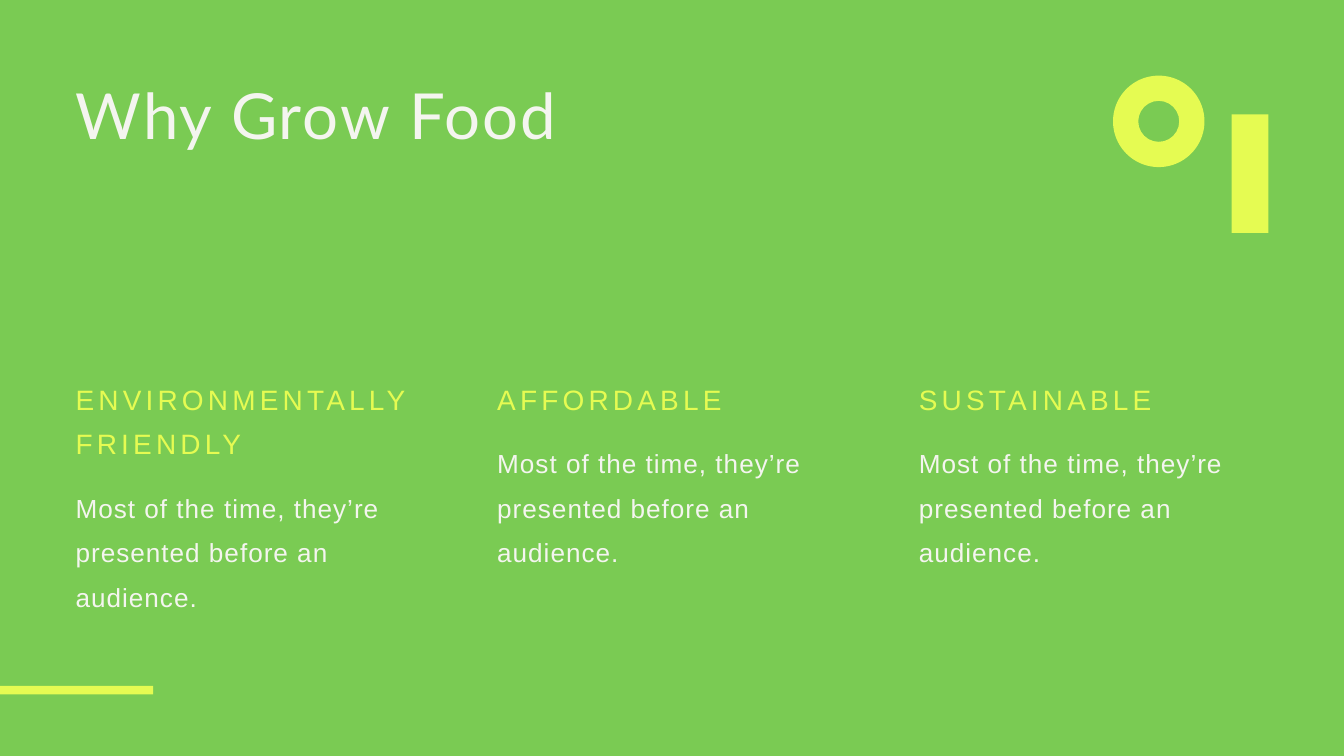
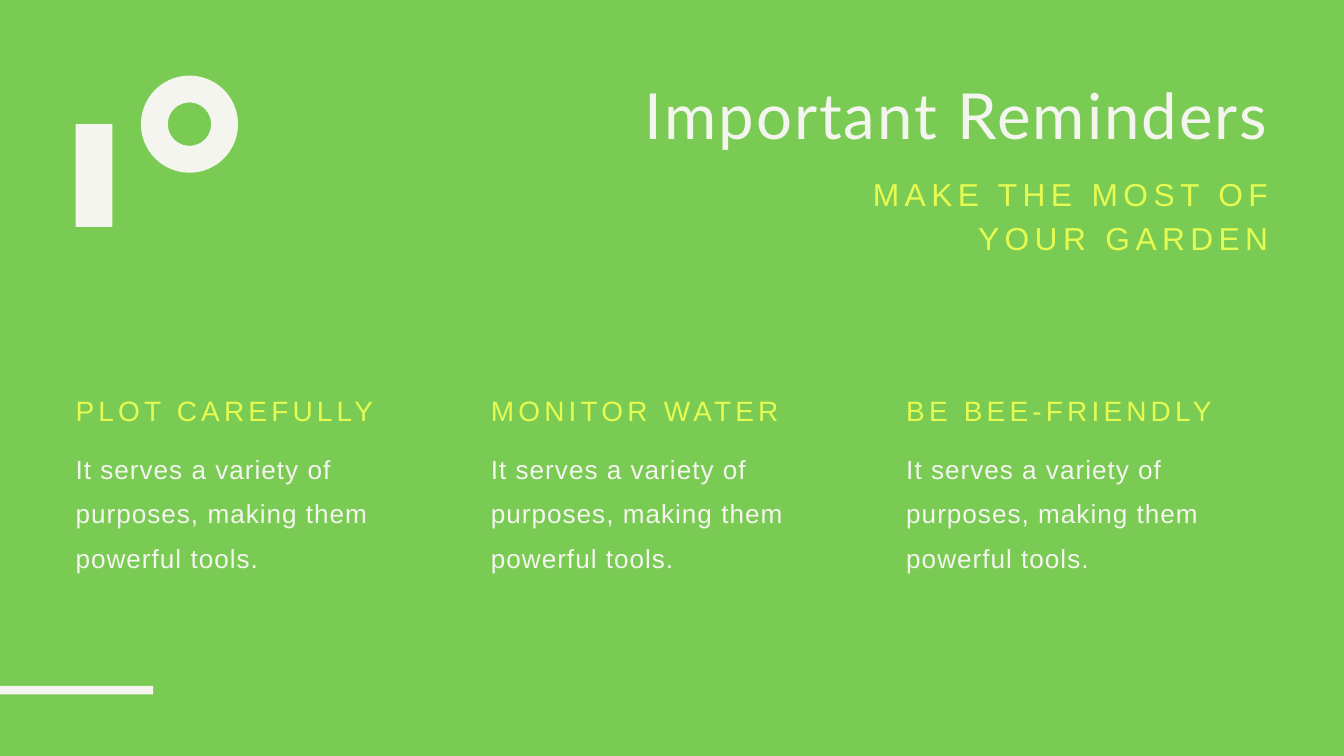
import pptx
import pptx.util
import pptx.dml.color
import pptx.enum.shapes
import pptx.enum.text

Pt = pptx.util.Pt
SHAPE = pptx.enum.shapes.MSO_SHAPE
ALIGN = pptx.enum.text.PP_ALIGN

GREEN, LIME, CREAM = "7ACB53", "E5FB52", "F4F5EF"
WIDTH, HEIGHT, MARGIN = 1440, 810, 81
CONTENT_W = WIDTH - 2 * MARGIN
BAR_W = 39.5

# style: font, size, colour, letter spacing, line spacing
TITLE = ("Lato", 68, CREAM, 2.2, 85)
SUBTITLE = ("Arial", 34, LIME, 5.8, 47.6)
HEADING = ("Arial", 30, LIME, 4.5, 48)
BODY = ("Arial", 28, CREAM, 1.1, 47.6)


def set_fill(fill, color):
    fill.solid()
    fill.fore_color.rgb = pptx.dml.color.RGBColor.from_string(color)


def set_text(sp, box, text, style, align=ALIGN.LEFT):
    font, size, color, spacing, leading = style
    sp.left, sp.top, sp.width, sp.height = map(Pt, box)
    tf = sp.text_frame
    tf.text = text
    tf.word_wrap = True
    tf.auto_size = pptx.enum.text.MSO_AUTO_SIZE.NONE
    tf.vertical_anchor = pptx.enum.text.MSO_ANCHOR.TOP
    tf.margin_left = tf.margin_top = tf.margin_right = tf.margin_bottom = 0
    for p in tf.paragraphs:
        p.alignment = align
        p.line_spacing = Pt(leading)
        for r in p.runs:
            r.font.name = font
            r.font.size = Pt(size)
            r.font.color.rgb = pptx.dml.color.RGBColor.from_string(color)
            r.font._element.set("spc", str(round(spacing * 100)))


def add_text(s, box, text, style, align=ALIGN.LEFT):
    set_text(s.shapes.add_textbox(0, 0, 0, 0), box, text, style, align)


def add_block(s, kind, box, color):
    sp = s.shapes.add_shape(kind, *map(Pt, box))
    sp.shadow.inherit = False
    set_fill(sp.fill, color)
    sp.line.fill.background()
    return sp


def add_ring(s, left, top, size, color):
    sp = add_block(s, SHAPE.DONUT, (left, top, size, size), color)
    sp.adjustments[0] = 0.276


def add_columns(s, top, width, gap, columns):
    step = (CONTENT_W - width) / (len(columns) - 1)
    leading = HEADING[-1]
    for i, (heading, lines, body) in enumerate(columns):
        left = MARGIN + i * step
        add_text(s, (left, top, width, lines * leading - 6), heading, HEADING)
        add_text(s, (left, top + lines * leading + gap, width, 135), body, BODY)


def add_base(prs, title, left, align, accent):
    s = prs.slides.add_slide(prs.slide_layouts.get_by_name("Title Only"))
    set_text(s.shapes.title, (left, 78, 824, 84), title, TITLE, align)
    add_block(s, SHAPE.RECTANGLE, (0, 735, 164, 9), accent)
    return s


def add_why_slide(prs):
    s = add_base(prs, "Why Grow Food", MARGIN, ALIGN.LEFT, LIME)
    body = "Most of the time, they’re presented before an audience."
    add_columns(s, 397.5, 374.5, 20, [
        ("ENVIRONMENTALLY FRIENDLY", 2, body),
        ("AFFORDABLE", 1, body),
        ("SUSTAINABLE", 1, body),
    ])
    right = WIDTH - MARGIN
    add_block(s, SHAPE.RECTANGLE, (right - BAR_W, 122.5, BAR_W, 127), LIME)
    add_ring(s, right - 166.5, MARGIN, 98, LIME)


def add_reminders_slide(prs):
    left = WIDTH - MARGIN - 824
    s = add_base(prs, "Important Reminders", left, ALIGN.RIGHT, CREAM)
    add_text(s, (left, 180.5, 824, 91), "MAKE THE MOST OF\nYOUR GARDEN",
             SUBTITLE, ALIGN.RIGHT)
    body = "It serves a variety of purposes, making them powerful tools."
    headings = ["PLOT CAREFULLY", "MONITOR WATER", "BE BEE-FRIENDLY"]
    add_columns(s, 409.5, 388, 14, [(h, 1, body) for h in headings])
    add_block(s, SHAPE.RECTANGLE, (MARGIN, 133, BAR_W, 110), CREAM)
    add_ring(s, MARGIN + 70, MARGIN, 104, CREAM)


def main():
    prs = pptx.Presentation()
    prs.slide_width, prs.slide_height = Pt(WIDTH), Pt(HEIGHT)
    set_fill(prs.slide_master.background.fill, GREEN)
    add_why_slide(prs)
    add_reminders_slide(prs)
    prs.save("out.pptx")


if __name__ == "__main__":
    main()
